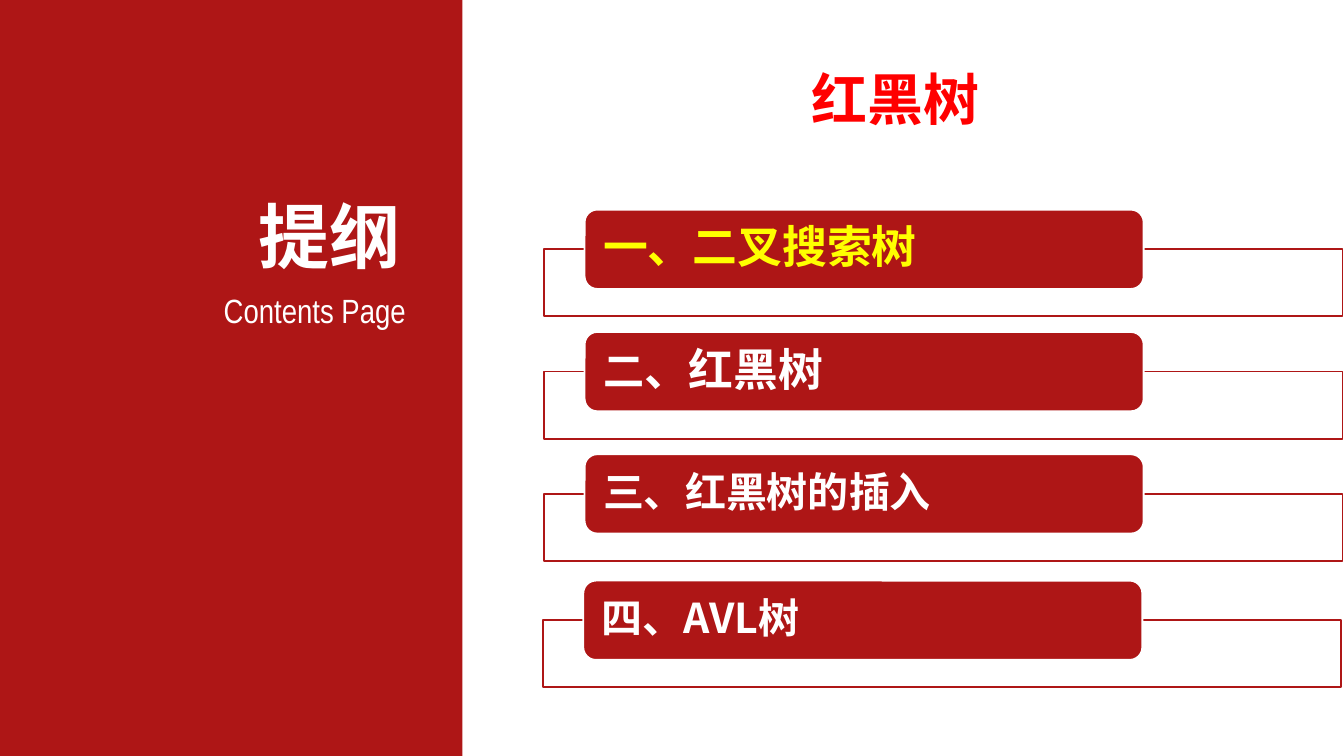
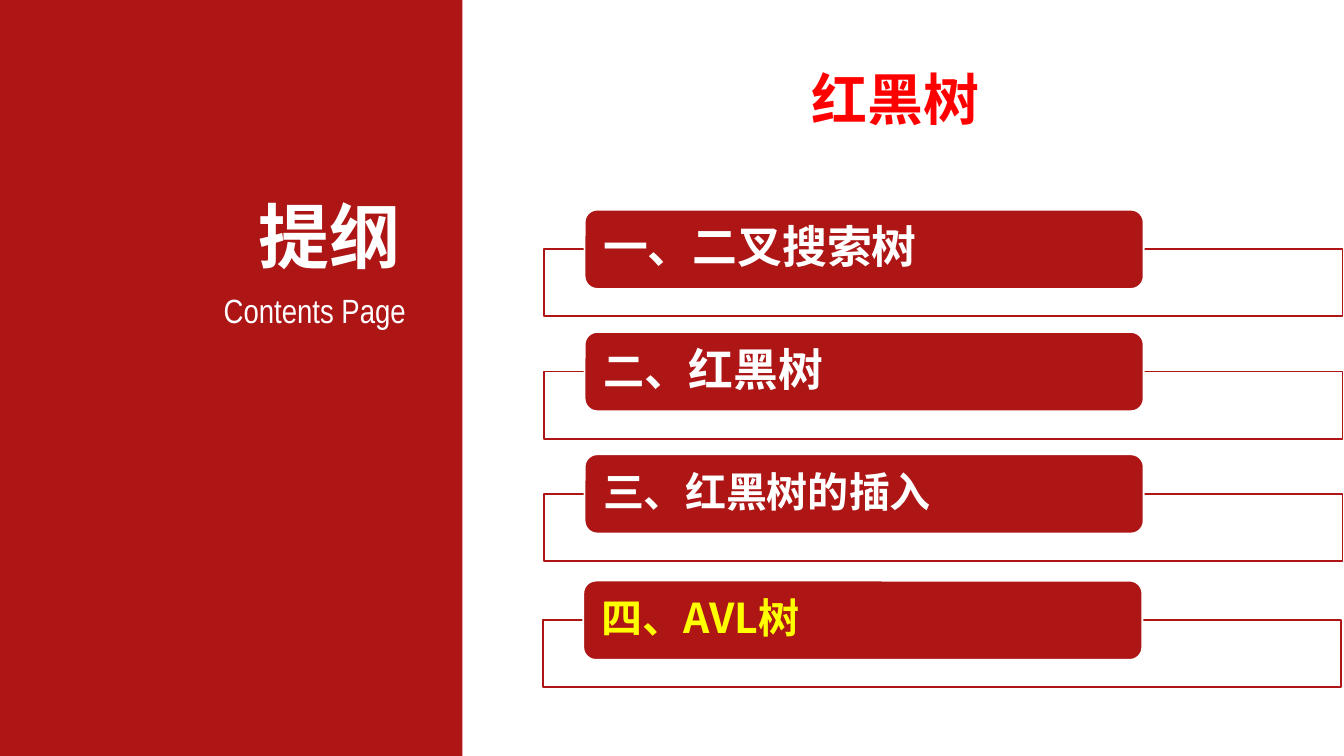
from lxml import etree
from pptx import Presentation
from pptx.dml.color import RGBColor
from pptx.enum.shapes import MSO_SHAPE as Shape
from pptx.enum.text import MSO_ANCHOR as Anchor, MSO_AUTO_SIZE as AutoSize, PP_ALIGN as Align
from pptx.oxml.ns import qn
from pptx.util import Inches, Pt

COLORS = {"brand": "AE1616", "paper": "FFFFFF", "title": "FF0000", "active": "FFFF00"}
CJK_FONT = "Noto Sans CJK SC"
PAGE_WIDTH = 10
PAGE_HEIGHT = PAGE_WIDTH * 9 / 16
LABEL_INSETS = (0.07, 0.04, 0.07, 0.04)
CARD_INSETS = (0.11, 0, 0.11, 0)
CARD_HEIGHT = 0.59

TOPICS = [
    (4.35, 1.56, "Roboto", [("一、二叉搜索树", 24)]),
    (4.35, 2.47, CJK_FONT, [("二", 22), ("、红黑树", 24)]),
    (4.35, 3.38, CJK_FONT, [("三、红黑树的插入", 22)]),
    (4.34, 4.32, CJK_FONT, [("四、AVL树", 22)]),
]
ACTIVE_TOPICS = [0, 3]


def color(name):
    return RGBColor.from_string(COLORS[name])


def apply_format(target, values):
    for name, value in values.items():
        setattr(target, name, value)


def write_text(box, spans, font, ink, insets, bold=True, frame_format=None, para_format=None):
    frame = box.text_frame
    sides = ("margin_left", "margin_top", "margin_right", "margin_bottom")
    apply_format(frame, {side: Inches(inset) for side, inset in zip(sides, insets)})
    apply_format(frame, {"word_wrap": True, **(frame_format or {})})
    para = frame.paragraphs[0]
    apply_format(para, para_format or {})
    for text, size in spans:
        span = para.add_run()
        span.text = text
        apply_format(span.font, {"name": font, "size": Pt(size), "bold": bold})
        span.font.color.rgb = color(ink)
        latin = span.font._element.find(qn("a:latin"))
        latin.addnext(etree.Element(qn("a:ea"), typeface=CJK_FONT))


def add_block(page, kind, bounds, fill, line=None):
    block = page.shapes.add_shape(kind, *map(Inches, bounds))
    block.shadow.inherit = False
    block.fill.solid()
    block.fill.fore_color.rgb = color(fill)
    if line:
        block.line.color.rgb = color(line)
        block.line.width = Pt(1)
    else:
        block.line.fill.background()
    return block


def set_opacity(block, percent):
    fill = block._element.spPr.find(qn("a:solidFill"))
    etree.SubElement(fill[0], qn("a:alpha"), val=str(percent * 1000))


def add_label(page, bounds, text, size, font, bold):
    label = page.shapes.add_textbox(*map(Inches, bounds))
    write_text(label, [(text, size)], font, "paper", LABEL_INSETS, bold,
               {"auto_size": AutoSize.SHAPE_TO_FIT_TEXT}, {"alignment": Align.RIGHT})


def add_side_panel(page):
    add_block(page, Shape.RECTANGLE, (0, 0, 3.44, PAGE_HEIGHT), "brand")
    add_label(page, (0.34, 2.12, 2.75, 0.38), "Contents Page", 18, "Arial Narrow", False)
    add_label(page, (1.1, 1.39, 1.95, 0.72), "提纲", 38, "Arial", True)


def add_title(page):
    title = page.shapes.add_textbox(*map(Inches, (3.44, 0, 6.45, 1.21)))
    write_text(title, [("红黑树", 30)], "Arial", "title", (0.1, 0.05, 0.1, 0.05),
               frame_format={"vertical_anchor": Anchor.MIDDLE},
               para_format={"alignment": Align.CENTER, "line_spacing": 1.5})


def add_topic(page, left, top, font, spans, active):
    frame = add_block(page, Shape.RECTANGLE, (left - 0.3, top + CARD_HEIGHT / 2, 5.94, 0.5),
                      "paper", "brand")
    set_opacity(frame, 90)
    card = add_block(page, Shape.ROUNDED_RECTANGLE, (left, top, 4.16, CARD_HEIGHT),
                     "brand", "paper")
    card.adjustments[0] = 0.16
    write_text(card, spans, font, "active" if active else "paper", CARD_INSETS,
               frame_format={"vertical_anchor": Anchor.MIDDLE},
               para_format={"alignment": Align.LEFT, "line_spacing": 0.9, "space_after": Pt(8)})


def add_outline_page(deck, active_topic):
    page = deck.slides.add_slide(deck.slide_layouts[6])
    add_side_panel(page)
    add_title(page)
    for index, topic in enumerate(TOPICS):
        add_topic(page, *topic, active=index == active_topic)


def main():
    deck = Presentation()
    apply_format(deck, {"slide_width": Inches(PAGE_WIDTH), "slide_height": Inches(PAGE_HEIGHT)})
    for active_topic in ACTIVE_TOPICS:
        add_outline_page(deck, active_topic)
    deck.save("out.pptx")


if __name__ == "__main__":
    main()
